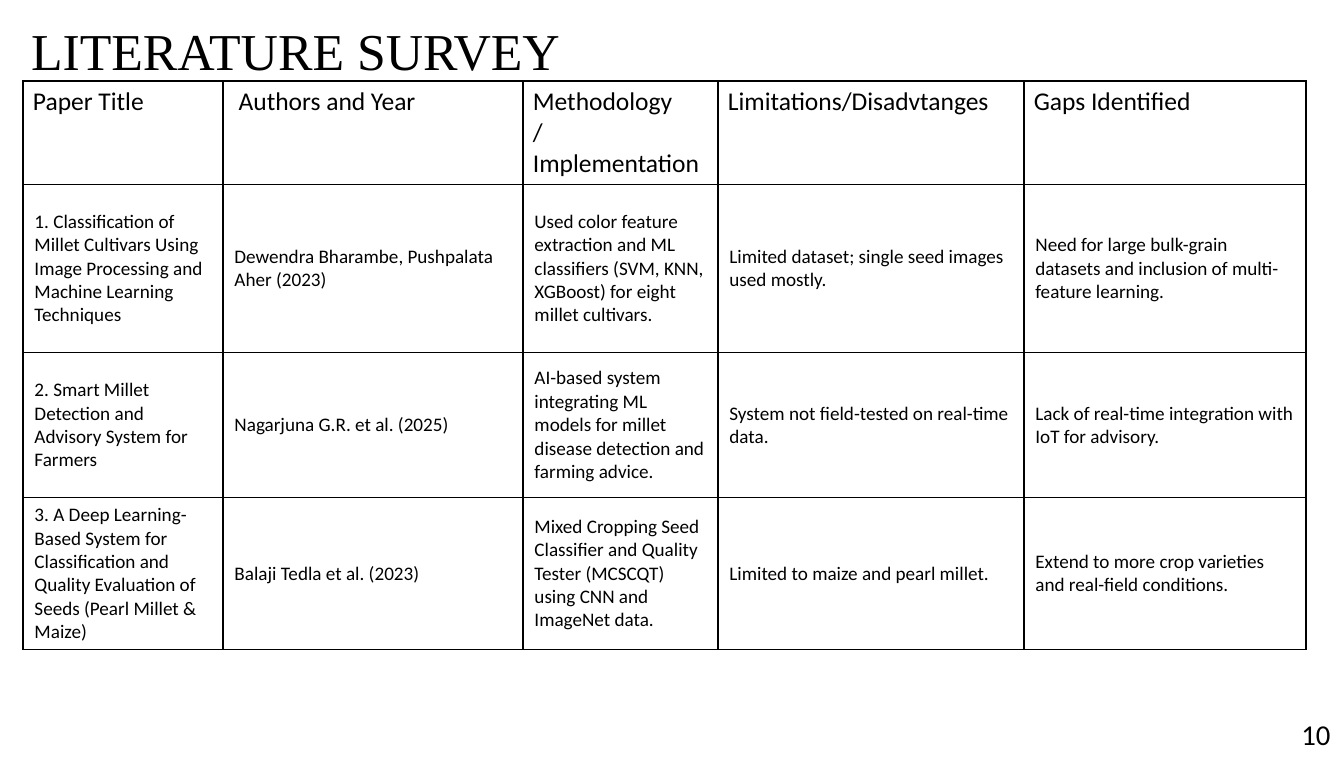
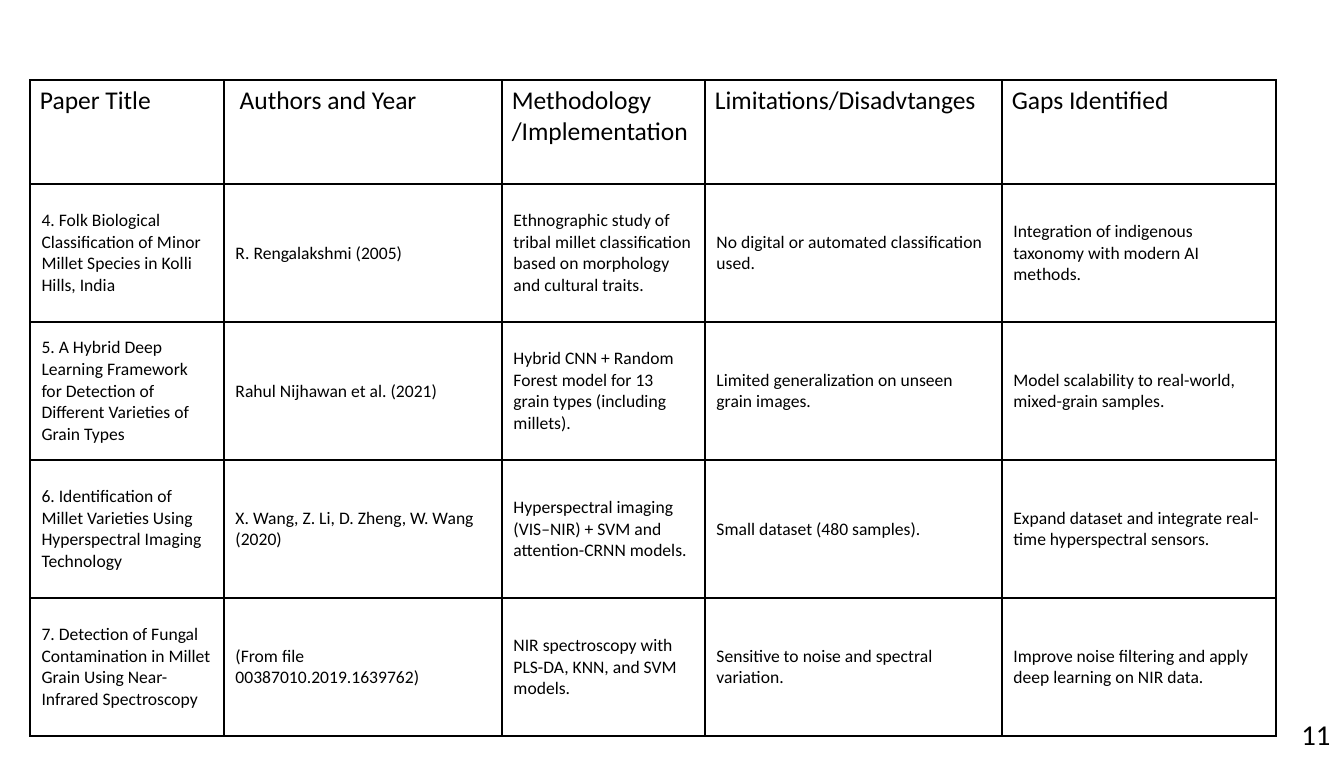
from dataclasses import dataclass
from typing import Any

from lxml.etree import SubElement
from pptx import Presentation
from pptx.dml.color import RGBColor as RGB
from pptx.enum.text import MSO_ANCHOR as Anchor, MSO_AUTO_SIZE as Auto, PP_ALIGN as Align
from pptx.oxml.ns import qn
from pptx.util import Emu, Pt

EMU_PER_PX = 914400 / 115


@dataclass(frozen=True)
class Theme:
    ink: str = "000000"
    paper: str = "FFFFFF"
    title_font: str = "Times New Roman"
    body_font: str = "Calibri"
    title_size: float = 32.4
    head_size: float = 16
    page_size: float = 18
    border: float = 1


@dataclass(frozen=True)
class Box:
    x: int
    y: int
    w: int
    h: int


@dataclass(frozen=True)
class Survey:
    title: str
    page: str
    x: int
    y: int
    cols: tuple[int, ...]
    heights: tuple[int, ...]
    size: float
    papers: tuple[tuple[str, ...], ...]


THEME = Theme()
TITLE_BOX = Box(21, 1, 1232, 146)
PAGE_BOX = Box(1290, 711, 55, 46)
TITLE_ONLY, BLANK = 5, 6
HEADINGS = (
    "Paper Title",
    " Authors and Year",
    "Methodology\n/Implementation",
    "Limitations/Disadvtanges",
    "Gaps Identified",
)

SURVEYS = (
    Survey(
        "LITERATURE SURVEY", "10", 23, 81,
        (200, 300, 195, 306, 282), (102, 168, 145, 145), 12,
        (
            (
                "1. Classification of Millet Cultivars Using Image Processing and Machine Learning Techniques",
                "Dewendra Bharambe, Pushpalata Aher (2023)",
                "Used color feature extraction and ML classifiers (SVM, KNN, XGBoost) for eight millet cultivars.",
                "Limited dataset; single seed images used mostly.",
                "Need for large bulk-grain datasets and inclusion of multi-feature learning.",
            ),
            (
                "2. Smart Millet Detection and Advisory System for Farmers",
                "Nagarjuna G.R. et al. (2025)",
                "AI-based system integrating ML models for millet disease detection and farming advice.",
                "System not field-tested on real-time data.",
                "Lack of real-time integration with IoT for advisory.",
            ),
            (
                "3. A Deep Learning-Based System for Classification and Quality Evaluation of Seeds (Pearl Millet & Maize)",
                "Balaji Tedla et al. (2023)",
                "Mixed Cropping Seed Classifier and Quality Tester (MCSCQT) using CNN and ImageNet data.",
                "Limited to maize and pearl millet.",
                "Extend to more crop varieties and real-field conditions.",
            ),
        ),
    ),
    Survey(
        "", "11", 30, 80,
        (194, 278, 203, 297, 274), (104, 138, 138, 138, 138), 11,
        (
            (
                "4. Folk Biological Classification of Minor Millet Species in Kolli Hills, India",
                "R. Rengalakshmi (2005)",
                "Ethnographic study of tribal millet classification based on morphology and cultural traits.",
                "No digital or automated classification used.",
                "Integration of indigenous taxonomy with modern AI methods.",
            ),
            (
                "5. A Hybrid Deep Learning Framework for Detection of Different Varieties of Grain Types",
                "Rahul Nijhawan et al. (2021)",
                "Hybrid CNN + Random Forest model for 13 grain types (including millets).",
                "Limited generalization on unseen grain images.",
                "Model scalability to real-world, mixed-grain samples.",
            ),
            (
                "6. Identification of Millet Varieties Using Hyperspectral Imaging Technology",
                "X. Wang, Z. Li, D. Zheng, W. Wang (2020)",
                "Hyperspectral imaging (VIS–NIR) + SVM and attention-CRNN models.",
                "Small dataset (480 samples).",
                "Expand dataset and integrate real-time hyperspectral sensors.",
            ),
            (
                "7. Detection of Fungal Contamination in Millet Grain Using Near-Infrared Spectroscopy",
                "(From file 00387010.2019.1639762)",
                "NIR spectroscopy with PLS-DA, KNN, and SVM models.",
                "Sensitive to noise and spectral variation.",
                "Improve noise filtering and apply deep learning on NIR data.",
            ),
        ),
    ),
)


def px(n: int) -> Emu:
    return Emu(round(n * EMU_PER_PX))


def apply(target: Any, values: dict[str, Any]) -> None:
    for name, value in values.items():
        setattr(target, name, value)


def place(sp: Any, box: Box) -> None:
    apply(sp, {"left": px(box.x), "top": px(box.y), "width": px(box.w), "height": px(box.h)})


def write(tf: Any, text: str, font: str, size: float) -> None:
    tf.text = text
    for p in tf.paragraphs:
        p.alignment = Align.LEFT
        for r in p.runs:
            apply(r.font, {"name": font, "size": Pt(size)})
            r.font.color.rgb = RGB.from_string(THEME.ink)


def outline(cell: Any) -> None:
    pr = cell._tc.get_or_add_tcPr()
    for side in ("lnL", "lnR", "lnT", "lnB"):
        ln = SubElement(pr, qn(f"a:{side}"), w=str(Pt(THEME.border)))
        fill = SubElement(ln, qn("a:solidFill"))
        SubElement(fill, qn("a:srgbClr"), val=THEME.ink)


def add_title(s: Any, text: str) -> None:
    sp = s.shapes.title
    place(sp, TITLE_BOX)
    tf = sp.text_frame
    write(tf, text, THEME.title_font, THEME.title_size)
    apply(tf, {
        "auto_size": Auto.NONE, "word_wrap": True, "vertical_anchor": Anchor.TOP,
        "margin_left": px(10), "margin_right": px(10), "margin_top": px(18), "margin_bottom": px(5),
    })


def add_survey_table(s: Any, survey: Survey) -> None:
    rows = (HEADINGS, *survey.papers)
    frame = s.shapes.add_table(
        len(rows), len(HEADINGS), px(survey.x), px(survey.y),
        px(sum(survey.cols)), px(sum(survey.heights)),
    )
    table = frame.table
    apply(table, {"first_row": False, "horz_banding": False})
    for col, width in zip(table.columns, survey.cols):
        col.width = px(width)
    head = {
        "vertical_anchor": Anchor.TOP, "margin_left": px(10), "margin_right": px(10),
        "margin_top": px(5), "margin_bottom": px(5),
    }
    body = {"vertical_anchor": Anchor.MIDDLE}
    for i, (row, texts) in enumerate(zip(table.rows, rows)):
        row.height = px(survey.heights[i])
        for cell, text in zip(row.cells, texts):
            write(cell.text_frame, text, THEME.body_font, survey.size if i else THEME.head_size)
            apply(cell, body if i else head)
            outline(cell)
            cell.fill.background()


def add_page_number(s: Any, text: str) -> None:
    b = PAGE_BOX
    sp = s.shapes.add_textbox(px(b.x), px(b.y), px(b.w), px(b.h))
    tf = sp.text_frame
    write(tf, text, THEME.body_font, THEME.page_size)
    apply(tf, {"word_wrap": False, "auto_size": Auto.SHAPE_TO_FIT_TEXT})


def add_survey(prs: Any, survey: Survey) -> None:
    s = prs.slides.add_slide(prs.slide_layouts[TITLE_ONLY if survey.title else BLANK])
    s.background.fill.solid()
    s.background.fill.fore_color.rgb = RGB.from_string(THEME.paper)
    if survey.title:
        add_title(s, survey.title)
    add_survey_table(s, survey)
    add_page_number(s, survey.page)


def main() -> None:
    prs = Presentation()
    apply(prs, {"slide_width": px(1344), "slide_height": px(757)})
    for survey in SURVEYS:
        add_survey(prs, survey)
    prs.save("out.pptx")


if __name__ == "__main__":
    main()
